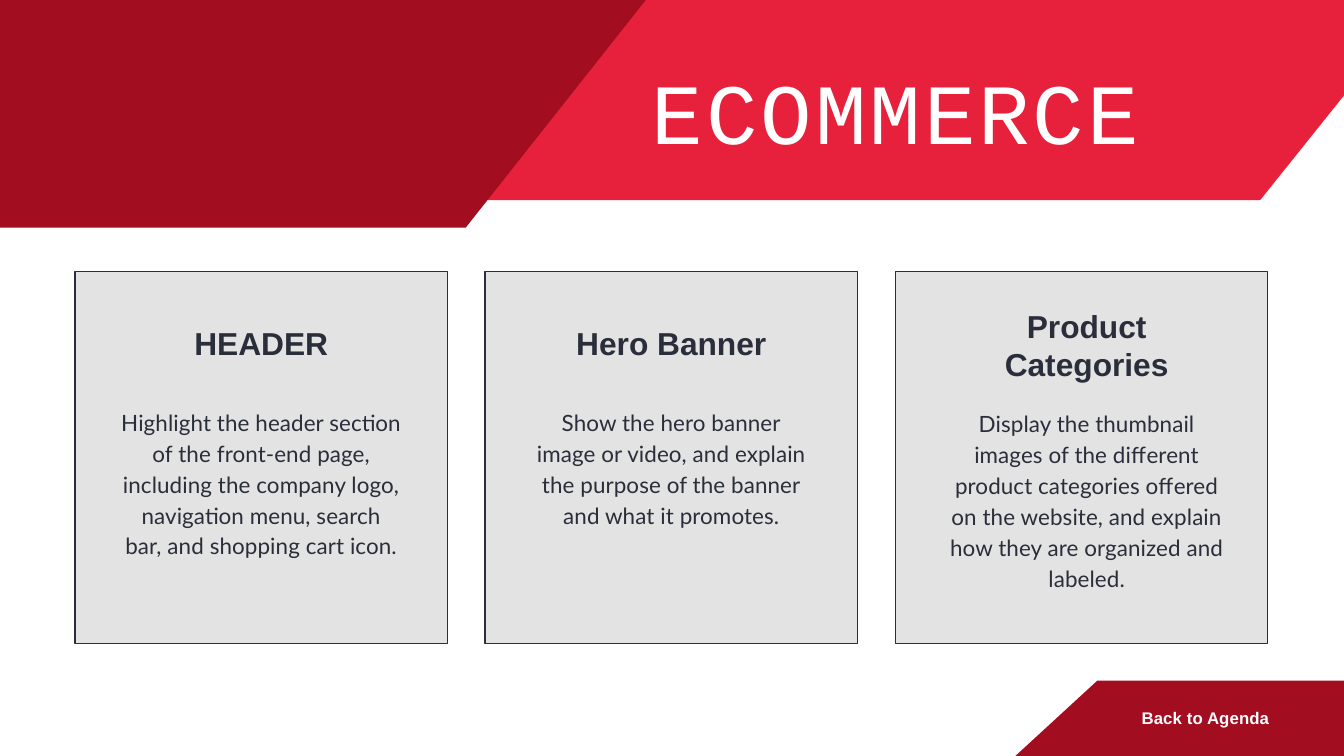
from pptx import Presentation
from pptx.dml.color import RGBColor
from pptx.enum.shapes import MSO_SHAPE
from pptx.enum.text import PP_ALIGN
from pptx.util import Cm, Pt

RECTANGLE = MSO_SHAPE.RECTANGLE
CENTER, LEFT = PP_ALIGN.CENTER, PP_ALIGN.LEFT
COLORS = {"red": "E7213B", "dark red": "A20D20", "gray": "E3E3E3", "ink": "292E3A", "white": "FFFFFF"}
FORMATS = {
    "title": {"name": "Courier New", "size": Pt(92), "bold": False},
    "heading": {"name": "Arial", "size": Pt(34), "bold": True},
    "body": {"name": "Lato", "size": Pt(24), "bold": False},
    "link": {"name": "Arial", "size": Pt(18), "bold": True},
}


def add_box(left, top, width, height, inset_left=0, inset_top=0.05):
    box = page.shapes.add_textbox(Cm(left), Cm(top), Cm(width), Cm(height))
    frame = box.text_frame
    frame.word_wrap = True
    margins = {"margin_left": inset_left, "margin_top": inset_top, "margin_right": 0, "margin_bottom": 0}
    for name, value in margins.items():
        setattr(frame, name, Cm(value))
    return frame


def write(para, lines, style, color, align, spacing=0):
    para.alignment = align
    for number, line in enumerate(lines):
        if number:
            para.add_line_break()
        span = para.add_run()
        span.text = line
        for name, value in FORMATS[style].items():
            setattr(span.font, name, value)
        span.font.color.rgb = RGBColor.from_string(COLORS[color])
        if spacing:
            span._r.get_or_add_rPr().set("spc", str(spacing))


deck = Presentation()
deck.slide_width, deck.slide_height = Cm(50.8), Cm(28.58)
page = deck.slides.add_slide(deck.slide_layouts[6])

bands = [
    ("red", [(5.18, 0), (50.8, 0), (50.8, 3.61), (47.63, 7.57), (11.28, 7.57)]),
    ("dark red", [(0, 0), (24.41, 0), (17.6, 8.61), (0, 8.61)]),
    ("dark red", [(50.8, 28.58), (38.38, 28.58), (41.48, 25.73), (50.8, 25.73)]),
]
for color, points in bands:
    corners = [(Cm(x), Cm(y)) for x, y in points]
    builder = page.shapes.build_freeform(*corners[0], scale=1.0)
    builder.add_line_segments(corners[1:], close=True)
    band = builder.convert_to_shape()
    band.shadow.inherit = False
    band.fill.solid()
    band.fill.fore_color.rgb = RGBColor.from_string(COLORS[color])
    band.line.fill.background()

card_left, card_top, card_size, card_step = 2.84, 10.26, 14.07, 15.5
cards = [
    {
        "heading": ["HEADER"],
        "body": ["Highlight the header section", "of the front-end page,", "including the company logo,",
                 "navigation menu, search", "bar, and shopping cart icon."],
        "top": 12.17, "height": 8.97, "inset_left": 0, "inset_top": 0.06, "gap": 46.5, "leading": 1.0,
    },
    {
        "heading": ["Hero Banner"],
        "body": ["Show the hero banner", "image or video, and explain",
                 "the purpose of the banner", "and what it promotes."],
        "top": 12.17, "height": 7.8, "inset_left": 0, "inset_top": 0.06, "gap": 46.5, "leading": 1.0,
    },
    {
        "heading": ["Product", "Categories"],
        "body": ["Display the thumbnail", "images of the different", "product categories offered",
                 "on the website, and explain", "how they are organized and", "labeled."],
        "top": 11.43, "height": 10.87, "inset_left": 0.4, "inset_top": 0.19, "gap": 25.2, "leading": Pt(40.5),
    },
]
for number, content in enumerate(cards):
    left = card_left + number * card_step
    card = page.shapes.add_shape(RECTANGLE, Cm(left), Cm(card_top), Cm(card_size), Cm(card_size))
    card.shadow.inherit = False
    card.fill.solid()
    card.fill.fore_color.rgb = RGBColor.from_string(COLORS["gray"])
    card.line.color.rgb = RGBColor.from_string(COLORS["ink"])
    card.line.width = Pt(1.5)

    frame = add_box(left, content["top"], card_size, content["height"],
                    content["inset_left"], content["inset_top"])
    heading = frame.paragraphs[0]
    heading.line_spacing = content["leading"]
    write(heading, content["heading"], "heading", "ink", CENTER)
    body = frame.add_paragraph()
    body.space_before = Pt(content["gap"])
    body.line_spacing = 1.15
    write(body, content["body"], "body", "ink", CENTER, 10)

link = add_box(43.15, 26.7, 4.93, 0.84)
write(link.paragraphs[0], ["Back to Agenda"], "link", "white", LEFT, 10)

title = add_box(5.16, 2.16, 40.49, 3.96, inset_left=19.48)
write(title.paragraphs[0], ["ECOMMERCE"], "title", "white", LEFT, 320)

deck.save("out.pptx")
